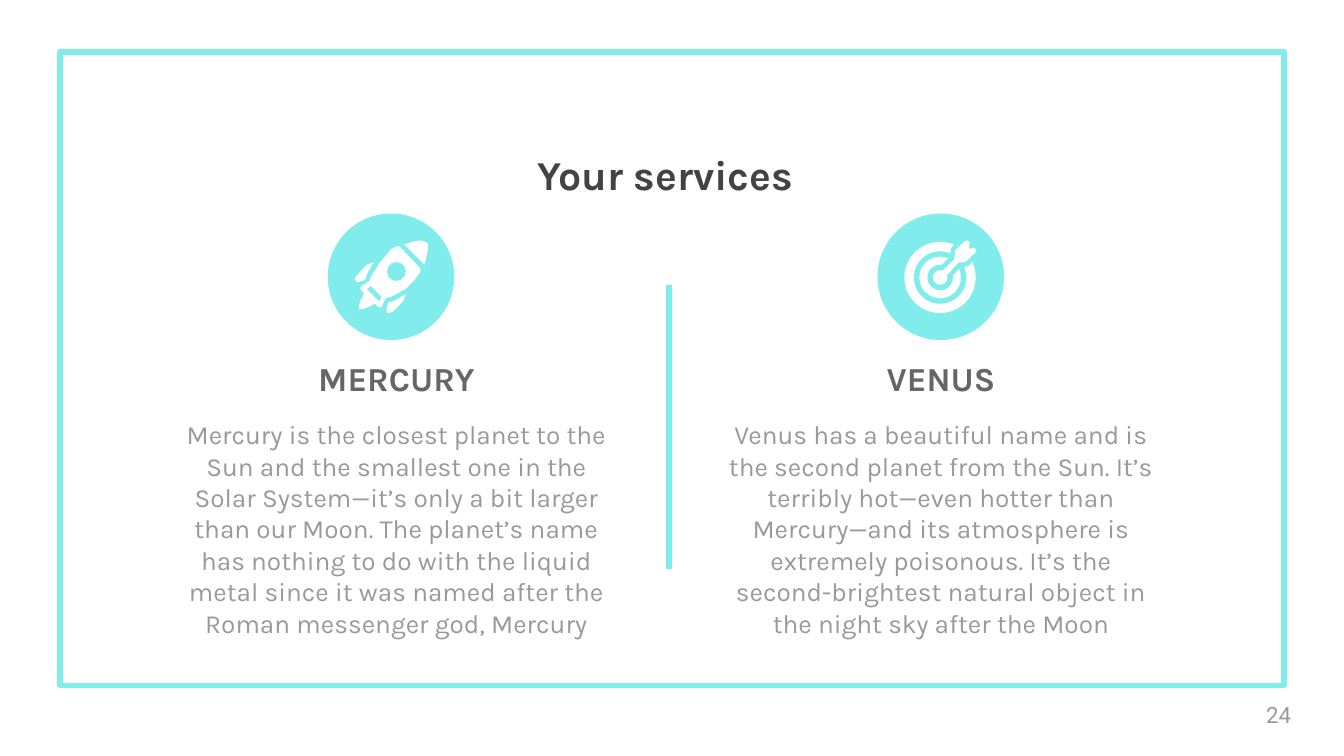
"""Build the "Your services" slide: two planets side by side, each under an emblem."""
from dataclasses import dataclass

from lxml import etree
from pptx import Presentation, util as u
from pptx.dml.color import RGBColor
from pptx.enum import shapes, text
from pptx.oxml import ns


@dataclass(frozen=True)
class Theme:
    accent: RGBColor = RGBColor.from_string("81ECEC")
    paper: RGBColor = RGBColor.from_string("FFFFFF")
    title: RGBColor = RGBColor.from_string("434343")
    heading: RGBColor = RGBColor.from_string("666666")
    body: RGBColor = RGBColor.from_string("999999")
    font: str = "Karla"
    number_font: str = "Roboto"
    title_size: int = 22
    heading_size: int = 18
    body_size: int = 14
    number_size: int = 12
    rule: u.Pt = u.Pt(3)
    dart_gap: u.Pt = u.Pt(5)


theme = Theme()
deck = Presentation()
deck.slide_width = u.Inches(10)
deck.slide_height = deck.slide_width * 9 // 16
slide = deck.slides.add_slide(deck.slide_layouts[6])
cell = deck.slide_width / 100
stroke = cell / 20


def write(words, box, size, color, font=theme.font, bold=False,
          align=text.PP_ALIGN.CENTER, anchor=text.MSO_ANCHOR.TOP):
    frame = slide.shapes.add_textbox(*(round(n * cell) for n in box)).text_frame
    frame.word_wrap = True
    frame.vertical_anchor = anchor
    frame.margin_left = frame.margin_right = frame.margin_top = frame.margin_bottom = round(cell)
    paragraph = frame.paragraphs[0]
    paragraph.alignment = align
    run = paragraph.add_run()
    run.text = words
    run.font.name, run.font.size, run.font.bold = font, u.Pt(size), bold
    run.font.color.rgb = color


def paint(part, fill, edge=None, width=0):
    part.shadow.inherit = False
    part.fill.solid()
    part.fill.fore_color.rgb = fill
    if edge is None:
        part.line.fill.background()
    else:
        part.line.color.rgb = edge
        part.line.width = width


border = slide.shapes.add_shape(
    shapes.MSO_SHAPE.RECTANGLE, *(round(n * cell) for n in (4.45, 3.87, 91.1, 47.13)))
paint(border, theme.paper, theme.accent, theme.rule)
border.fill.background()

divider = slide.shapes.add_connector(
    shapes.MSO_CONNECTOR.STRAIGHT, *(round(n * cell) for n in (49.8, 21.2, 49.8, 42.33)))
divider.line.color.rgb = theme.accent
divider.line.width = theme.rule
etree.SubElement(divider._element.spPr, ns.qn("a:effectLst"))

write("Your services", (-0.5, 10.1, 100, 5.3), theme.title_size, theme.title, bold=True)

rocket_body = [
    (10, -46), (0, -41), (-16, -22), (-30, 0), (-32, 6), (-44, 14), (-46, 17), (-44, 20),
    (-40, 26), (-46, 36), (-48, 44), (-47, 48), (-42, 48), (-34, 45), (-24, 40), (-20, 44),
    (-16, 46), (-14, 44), (-8, 32), (0, 30), (22, 18), (34, 6), (44, -8), (44, -12), (14, -44)]
rocket_slot = [(-30, 14), (-14, 30), (-18, 36), (-36, 18)]
rocket_nose = [(44, -54), (34, -53), (20, -48), (50, -18), (55, -42), (55, -49), (52, -52)]
lower_fin = [(22, 26), (4, 36), (-4, 38), (-7, 48), (-6, 53), (-3, 54), (2, 52), (10, 45), (18, 36)]
upper_fin = [(-26, -22), (-36, -18), (-44, -10), (-54, 2), (-53, 6), (-49, 8), (-38, 4), (-36, -4)]
dart = [
    (40, -54), (36, -53), (22, -40), (20, -26), (1, -8), (8, -1), (26, -21), (37, -22),
    (53, -38), (51, -43), (42, -42), (43, -51)]

rocket_outlines = [
    (rocket_body, theme.paper, None), (rocket_slot, theme.accent, None),
    (rocket_nose, theme.paper, None), (lower_fin, theme.paper, None),
    (upper_fin, theme.paper, None)]
target_outlines = [(dart, theme.accent, theme.accent), (dart, theme.paper, None)]
porthole = [(8, -8, 14, theme.accent)]
target_rings = [
    (-1, 1, radius, (theme.paper, theme.accent)[ring % 2])
    for ring, radius in enumerate((53, 39, 31, 19))]
bullseye = [(-1, 1, 11, theme.paper)]

planets = [
    ("MERCURY", 29.5, 29.1, [], rocket_outlines, porthole,
     "Mercury is the closest planet to the Sun and the smallest one in the Solar System—it’s "
     "only a bit larger than our Moon. The planet’s name has nothing to do with the liquid "
     "metal since it was named after the Roman messenger god, Mercury"),
    ("VENUS", 70.02, 70, target_rings, target_outlines, bullseye,
     "Venus has a beautiful name and is the second planet from the Sun. It’s terribly hot—even "
     "hotter than Mercury—and its atmosphere is extremely poisonous. It’s the second-brightest "
     "natural object in the night sky after the Moon"),
]

for planet, center, emblem_x, discs_below, outlines, discs_above, story in planets:
    hub_x, hub_y = round(emblem_x * cell), round(20.6 * cell)
    emblem = (0, 0, 90, theme.accent)
    for layer in ([emblem] + discs_below, outlines, discs_above):
        for item in layer:
            if layer is outlines:
                points, fill, edge = item
                builder = slide.shapes.build_freeform(*points[0], scale=stroke)
                builder.add_line_segments(points[1:], close=True)
                paint(builder.convert_to_shape(hub_x, hub_y), fill, edge, theme.dart_gap)
            else:
                x, y, radius, fill = item
                disc = slide.shapes.add_shape(
                    shapes.MSO_SHAPE.OVAL,
                    round(hub_x + (x - radius) * stroke), round(hub_y + (y - radius) * stroke),
                    round(2 * radius * stroke), round(2 * radius * stroke))
                paint(disc, fill, theme.accent if item is emblem else None, theme.rule)
    write(planet, (center - 17.35, 23.5, 34.7, 7.1), theme.heading_size, theme.heading,
          bold=True, anchor=text.MSO_ANCHOR.BOTTOM)
    write(story, (center - 16.95, 30.15, 33.9, 12.2), theme.body_size, theme.body)

write("24", (93.23, 51.04, 6, 4.3), theme.number_size, theme.body, font=theme.number_font,
      align=text.PP_ALIGN.LEFT, anchor=text.MSO_ANCHOR.MIDDLE)

deck.save("out.pptx")
